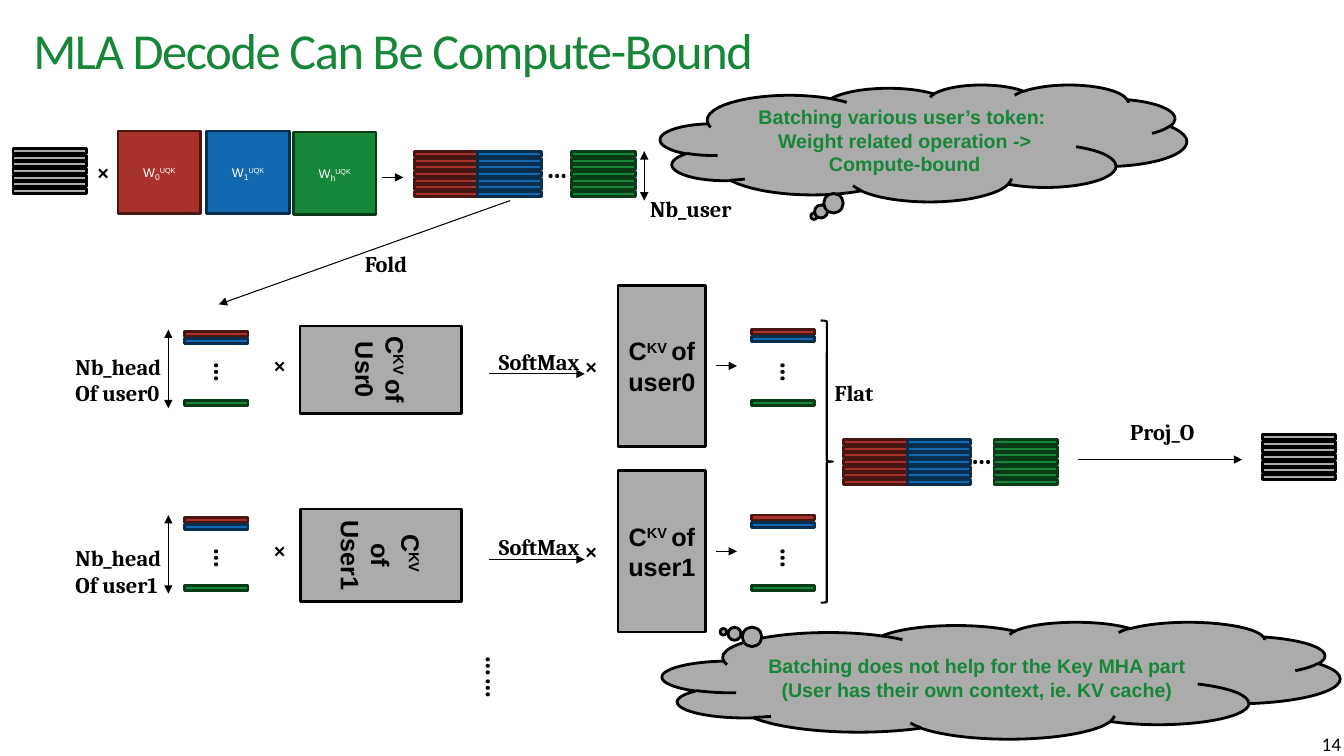
from lxml.etree import SubElement
from pptx import Presentation
from pptx.dml.color import RGBColor
from pptx.enum.shapes import MSO_CONNECTOR, MSO_SHAPE
from pptx.enum.text import MSO_ANCHOR, MSO_AUTO_SIZE, PP_ALIGN
from pptx.oxml.ns import qn
from pptx.util import Pt

PX = 9144
BLACK = RGBColor(0x00, 0x00, 0x00)
WHITE = RGBColor(0xFF, 0xFF, 0xFF)
GRAY = RGBColor(0xAB, 0xAB, 0xAB)
RED = RGBColor(0xA8, 0x32, 0x2C)
DARK_RED = RGBColor(0x4A, 0x16, 0x13)
BLUE = RGBColor(0x12, 0x69, 0xB0)
DARK_BLUE = RGBColor(0x08, 0x2E, 0x4D)
GREEN = RGBColor(0x16, 0x86, 0x38)
DARK_GREEN = RGBColor(0x0A, 0x3B, 0x19)
EDGES = {GRAY: BLACK, RED: DARK_RED, BLUE: DARK_BLUE, GREEN: DARK_GREEN}

prs = Presentation()
prs.slide_width, prs.slide_height = 1333 * PX, 750 * PX
s = prs.slides.add_slide(prs.slide_layouts[5])


def write(sp, paragraphs, size=16, font="Cambria", color=BLACK, bold=True,
          align=PP_ALIGN.LEFT, anchor=MSO_ANCHOR.TOP):
    tf = sp.text_frame
    tf.word_wrap = True
    tf.vertical_anchor = anchor
    for i, runs in enumerate(paragraphs):
        p = tf.paragraphs[0] if i == 0 else tf.add_paragraph()
        p.alignment = align
        for text, base in [(runs, 0)] if isinstance(runs, str) else runs:
            r = p.add_run()
            r.text = text
            r.font.size = Pt(10.5 if base < 0 else size)
            r.font.name = font
            r.font.bold = bold
            r.font.color.rgb = color
            if base:
                r.font._element.set("baseline", str(base * 1000))


def add_box(x, y, w, h, fill, kind=MSO_SHAPE.RECTANGLE):
    sp = s.shapes.add_shape(kind, x * PX, y * PX, w * PX, h * PX)
    sp.shadow.inherit = False
    sp.fill.solid()
    sp.fill.fore_color.rgb = fill
    sp.line.color.rgb = EDGES[fill]
    sp.line.width = Pt(2)
    return sp


centred = dict(align=PP_ALIGN.CENTER, anchor=MSO_ANCHOR.MIDDLE)

title = s.shapes.title
title.left, title.top, title.width, title.height = 33 * PX, 19 * PX, 1273 * PX, 68 * PX
write(title, ["MLA Decode Can Be Compute-Bound"], size=36, font="Calibri",
      color=GREEN, bold=False, anchor=MSO_ANCHOR.MIDDLE)
tf = title.text_frame
tf.margin_left = tf.margin_right = tf.margin_top = tf.margin_bottom = 0
tf.paragraphs[0].line_spacing = 0.9
tf.paragraphs[0].runs[0].font._element.set("spc", "-100")

page = s.shapes.add_textbox(1247 * PX, 720 * PX, 93 * PX, 34 * PX)
write(page, ["14"], size=13.8, font="Calibri", bold=False,
      align=PP_ALIGN.RIGHT, anchor=MSO_ANCHOR.BOTTOM)

for x, y, index, fill in [(117, 130, "0", RED), (205, 130, "1", BLUE), (291, 131, "h", GREEN)]:
    weight = add_box(x, y, 82, 82, fill)
    write(weight, [[("W", 0), (index, -25), ("UQK", 30)]], size=9, font="Arial",
          color=WHITE, bold=False, **centred)

stacks = [(13, 147, 73, GRAY), (411, 150, 63, RED), (474, 150, 63, BLUE), (567, 150, 63, GREEN),
          (837, 436, 63, RED), (900, 436, 63, BLUE), (986, 436, 63, GREEN), (1252, 431, 73, GRAY)]
for x, y, w, fill in stacks:
    for row in range(7):
        add_box(x, y + round(row * 20 / 3), w, 5, fill)

labels = [
    (["×"], 86, 152, 32, 37),
    (["Fold"], 352, 243, 141, 37),
    (["Flat"], 818, 371, 141, 37),
    (["Nb_user"], 635, 189, 141, 37),
    (["Proj_O"], 1111, 410, 141, 37),
    (["Nb_head", "Of user0"], 65, 345, 141, 64),
    (["Nb_head", "Of user1"], 65, 535, 141, 64),
]
dots = [("…", 532, 144, 48, 0), ("…", 953, 428, 48, 0), ("……", 455, 656, 75, 90)]
arrows = [
    (1069, 456, 1232, 456, False),
    (379, 176, 400, 176, False),
    (506, 199, 217, 302, False),
    (639, 150, 639, 199, True),
]
keys = [
    (334, 287, 87, [[("C", 0), ("KV ", 30), ("of Usr0", 0)]], 90),
    (332, 471, 92, [[("C", 0), ("KV ", 30)], "of User1"], 90),
]

for user, dy in enumerate((0, 184)):
    keys.append((613, 283 + dy, 87, [[("C", 0), ("KV ", 30), (f"of user{user}", 0)]], 0))
    for x, top in [(183, 329), (745, 327)]:
        for y, fill in [(top, RED), (top + 7, BLUE), (397, GREEN)]:
            add_box(x, y + dy, 63, 5, fill)
        dots.append(("…", x + 16, 351 + dy, 48, 90))
    labels += [(["×"], 261, 343 + dy, 32, 37), (["×"], 570, 344 + dy, 32, 37),
               (["SoftMax"], 485, 340 + dy, 141, 37)]
    arrows += [(167, 327 + dy, 167, 405 + dy, True),
               (485, 371 + dy, 580, 371 + dy, False),
               (710, 363 + dy, 731, 363 + dy, False)]

for x, y, w, paragraphs, rotation in keys:
    key = add_box(x, y, w, 160, GRAY)
    key.rotation = rotation
    write(key, paragraphs, size=18, font="Arial", **centred)

for paragraphs, x, y, w, h in labels:
    label = s.shapes.add_textbox(x * PX, y * PX, w * PX, h * PX)
    write(label, paragraphs)
    label.text_frame.auto_size = MSO_AUTO_SIZE.SHAPE_TO_FIT_TEXT

for text, x, y, w, rotation in dots:
    ellipsis = s.shapes.add_textbox(x * PX, y * PX, w * PX, 44 * PX)
    ellipsis.rotation = rotation
    write(ellipsis, [text], size=20)
    ellipsis.text_frame.auto_size = MSO_AUTO_SIZE.SHAPE_TO_FIT_TEXT

for x1, y1, x2, y2, both_ends in arrows:
    arrow = s.shapes.add_connector(MSO_CONNECTOR.STRAIGHT, x1 * PX, y1 * PX, x2 * PX, y2 * PX)
    arrow.line.color.rgb = BLACK
    arrow.line.width = Pt(0.75)
    ln = arrow.line._get_or_add_ln()
    for end in ("a:headEnd", "a:tailEnd") if both_ends else ("a:tailEnd",):
        SubElement(ln, qn(end), type="triangle")
    SubElement(arrow._element.spPr, qn("a:effectLst"))

brace = s.shapes.add_shape(MSO_SHAPE.RIGHT_BRACE, 814 * PX, 318 * PX, 12 * PX, 280 * PX)
brace.shadow.inherit = False
brace.fill.background()
brace.line.color.rgb = BLACK
brace.line.width = Pt(1.5)

clouds = [
    (655, 84, 522, (-0.208, 0.625),
     ["Batching various user’s token: ", "Weight related operation -> Compute-bound"]),
    (657, 617, 672, (-0.41, -0.415),
     ["Batching does not help for the Key MHA part", "(User has their own context, ie. KV cache)"]),
]
for x, y, w, tip, paragraphs in clouds:
    cloud = add_box(x, y, w, 116, GRAY, MSO_SHAPE.CLOUD_CALLOUT)
    cloud.adjustments[0], cloud.adjustments[1] = tip
    write(cloud, paragraphs, size=14, font="Arial", color=GREEN, **centred)

prs.save("out.pptx")
